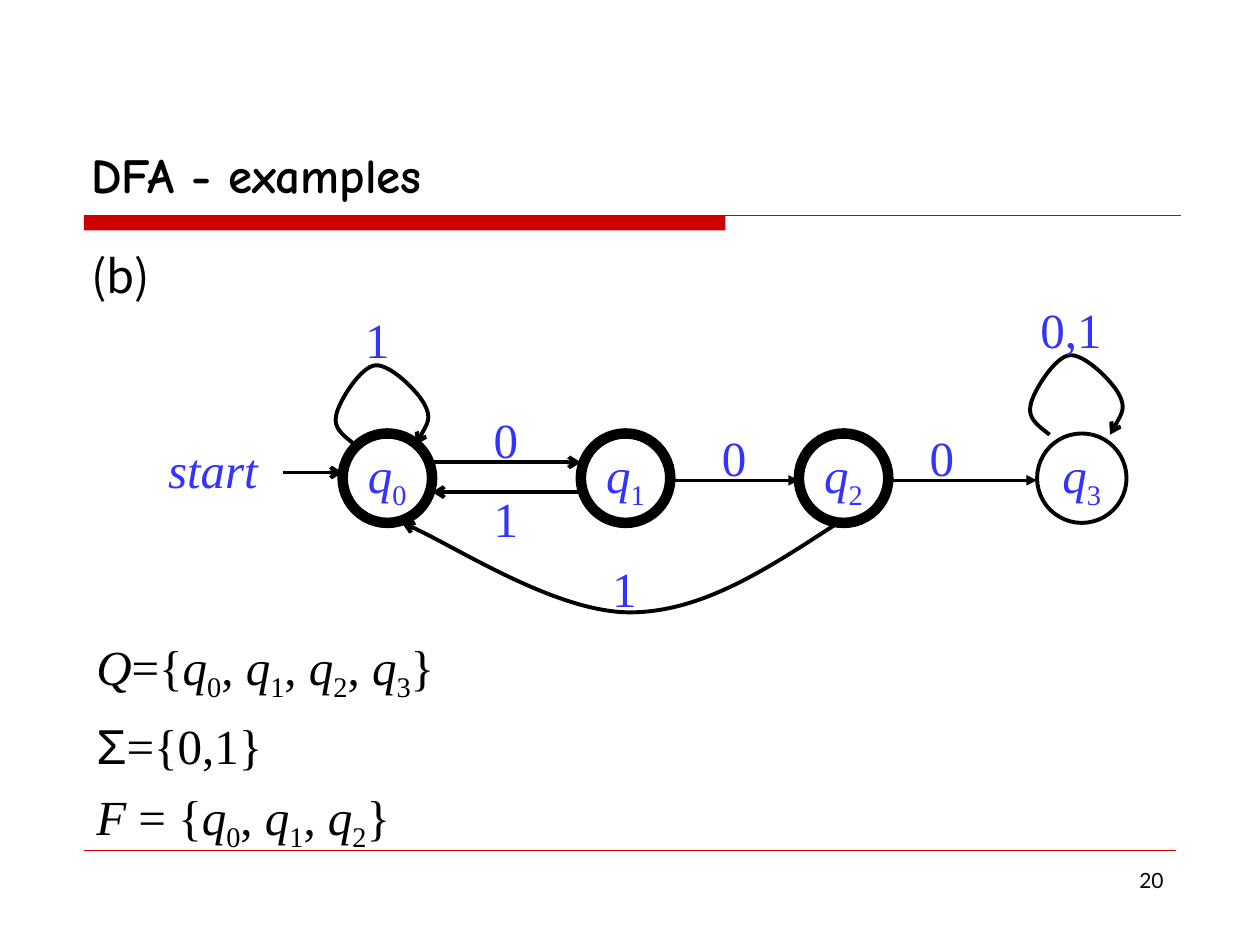
"""Build a slide with a four-state deterministic finite automaton."""
from dataclasses import dataclass
from itertools import chain

from lxml.etree import SubElement
from pptx import Presentation
from pptx.dml.color import RGBColor
from pptx.enum.shapes import MSO_CONNECTOR as Connector, MSO_SHAPE as Shape
from pptx.enum.text import MSO_ANCHOR as Anchor, PP_ALIGN as Align
from pptx.oxml.ns import qn
from pptx.util import Pt

BLACK, BLUE, RED = "000000", "3333FF", "CC0000"
SERIF = "Times New Roman"
DIAMETER, STATE_TOP = 51.1, 247.7
LOOP = [(-6.5, -5), (-13, -9.4), (-10.8, -17.3),
        (-9.4, -24.5), (2.9, -44.6), (11.5, -45.4),
        (20.2, -46.1), (36, -30.2), (39.6, -23),
        (43.9, -15.1), (38.9, -7.9), (34.6, 0)]
RETURN_ARC = [(440, 324), (401.8, 349.9), (360, 349.9),
              (318.2, 349.9), (251.3, 306.7), (229.7, 298.8)]


@dataclass
class Run:
    text: str
    italic: bool = False
    subscript: bool = False
    font: str = ""


@dataclass
class State:
    index: int
    left: float
    accepting: bool = True


@dataclass
class Transition:
    start: float
    end: float
    y: float
    width: float = 2.25
    head: str = "arrow"


@dataclass
class Label:
    text: str
    left: float
    top: float
    width: float = 28
    italic: bool = False


STATES = [State(0, 195.8), State(1, 331.9), State(2, 456.5), State(3, 592.6, False)]
TRANSITIONS = [
    Transition(247, 331.9, 264.2),
    Transition(382.6, 456.5, 274.5, 2, "triangle"),
    Transition(507.6, 592.6, 274.5, 2, "triangle"),
    Transition(331.9, 247, 281.2),
    Transition(161.5, 195.8, 270),
]
LABELS = [
    Label("0", 405.4, 240.5), Label("0", 524.2, 240.5), Label("0", 275, 230.4),
    Label("0,1", 581, 167.8, 62), Label("1", 201.6, 173.5), Label("1", 342.7, 315.4),
    Label("1", 275, 275.8), Label("start", 76.3, 247.7, 90.7, True),
]


def rgb(color: str) -> RGBColor:
    return RGBColor.from_string(color)


def state_name(index: int) -> list[Run]:
    return [Run("q", italic=True), Run(str(index), subscript=True)]


def state_set(count: int) -> list[Run]:
    names = ([Run(", ")] * bool(i) + state_name(i) for i in range(count))
    return [*chain.from_iterable(names), Run("}")]


def write(shape, lines: list[list[Run]], *, size=28, font=SERIF, color=BLACK, bold=False,
          align=Align.LEFT, anchor=Anchor.TOP, wrap=True, gap=7) -> None:
    frame = shape.text_frame
    frame.word_wrap, frame.vertical_anchor = wrap, anchor
    for number, line in enumerate(lines):
        paragraph = frame.add_paragraph() if number else frame.paragraphs[0]
        paragraph.alignment = align
        paragraph.space_before = Pt(gap if number else 0)
        for part in line:
            run = paragraph.add_run()
            run.text = part.text
            run.font.size, run.font.name = Pt(size), part.font or font
            run.font.bold, run.font.italic = bold, part.italic
            run.font.color.rgb = rgb(color)
            if part.subscript:
                run._r.get_or_add_rPr().set("baseline", "-25000")


def add_text(slide, left: float, top: float, width: float, height: float,
             lines: list[list[Run]], **style) -> None:
    box = slide.shapes.add_textbox(Pt(left), Pt(top), Pt(width), Pt(height))
    write(box, lines, **style)


def set_line(shape, color: str, width: float, head: str = "") -> None:
    shape.line.color.rgb = rgb(color)
    shape.line.width = Pt(width)
    if head:
        SubElement(shape._element.spPr.find(qn("a:ln")), qn("a:tailEnd"), type=head)


def add_line(slide, start: float, end: float, y: float, width: float,
             color: str = BLACK, head: str = "") -> None:
    line = slide.shapes.add_connector(Connector.STRAIGHT, Pt(start), Pt(y), Pt(end), Pt(y))
    set_line(line, color, width, head)
    SubElement(line._element.spPr, qn("a:effectLst"))


def add_state(slide, state: State) -> None:
    circle = slide.shapes.add_shape(
        Shape.OVAL, Pt(state.left), Pt(STATE_TOP), Pt(DIAMETER), Pt(DIAMETER))
    circle.shadow.inherit = False
    circle.fill.background()
    set_line(circle, BLACK, 6 if state.accepting else 2.25)
    write(circle, [state_name(state.index)], color=BLUE, align=Align.CENTER,
          anchor=Anchor.MIDDLE, wrap=False)


def add_curve(slide, start: tuple[float, float], controls: list[tuple[float, float]]) -> None:
    """Draw Bezier segments, each given by three consecutive control points."""
    builder = slide.shapes.build_freeform(Pt(start[0]), Pt(start[1]))
    builder.add_line_segments([(Pt(x), Pt(y)) for x, y in controls], close=False)
    curve = builder.convert_to_shape()
    outline = next(curve._element.iter(qn("a:path")))
    segments = outline.findall(qn("a:lnTo"))
    for first in range(0, len(segments), 3):
        bezier = SubElement(outline, qn("a:cubicBezTo"))
        for segment in segments[first:first + 3]:
            bezier.append(segment[0])
            outline.remove(segment)
    curve.shadow.inherit = False
    curve.fill.background()
    set_line(curve, BLACK, 2.25, "arrow")


def add_loop(slide, x: float, y: float) -> None:
    add_curve(slide, (x, y), [(x + dx, y + dy) for dx, dy in LOOP])


def add_frame(slide) -> None:
    bar = slide.shapes.add_shape(Shape.RECTANGLE, Pt(48), Pt(123.1), Pt(366.5), Pt(8.6))
    bar.shadow.inherit = False
    bar.fill.solid()
    bar.fill.fore_color.rgb = rgb(RED)
    bar.line.fill.background()
    add_line(slide, 48, 674.6, 123.1, 0.75, RED)
    add_line(slide, 48, 672, 486, 0.25, RED)
    add_text(slide, 516, 492, 156, 37.4, [[Run("20")]], size=12, font="Lato",
             align=Align.RIGHT)


def main() -> None:
    deck = Presentation()
    deck.slide_width, deck.slide_height = Pt(720), Pt(540)
    slide = deck.slides.add_slide(deck.slide_layouts[5])
    add_frame(slide)

    title = slide.shapes.title
    title.left, title.top, title.width, title.height = Pt(45), Pt(24), Pt(630), Pt(96)
    write(title, [[Run("DFA - examples")]], font="Comic Neue", bold=True,
          anchor=Anchor.BOTTOM)
    add_text(slide, 45, 138, 630, 40, [[Run("(b)")]], size=26, font="Noto Sans CJK SC")

    definition = [
        [Run("Q", italic=True), Run("={"), *state_set(4)],
        [Run("Σ", font="Arial"), Run("={0,1}")],
        [Run("F", italic=True), Run(" = {"), *state_set(3)],
    ]
    add_text(slide, 48, 360, 329, 132, definition)

    for state in STATES:
        add_state(slide, state)
    for step in TRANSITIONS:
        add_line(slide, step.start, step.end, step.y, step.width, head=step.head)
    add_curve(slide, (478.8, 298.8), RETURN_ARC)
    add_loop(slide, 203, 254.2)
    add_loop(slide, 599.8, 248.4)
    for label in LABELS:
        add_text(slide, label.left, label.top, label.width, 41,
                 [[Run(label.text, italic=label.italic)]], color=BLUE,
                 align=Align.CENTER, wrap=False)

    deck.save("out.pptx")


if __name__ == "__main__":
    main()
